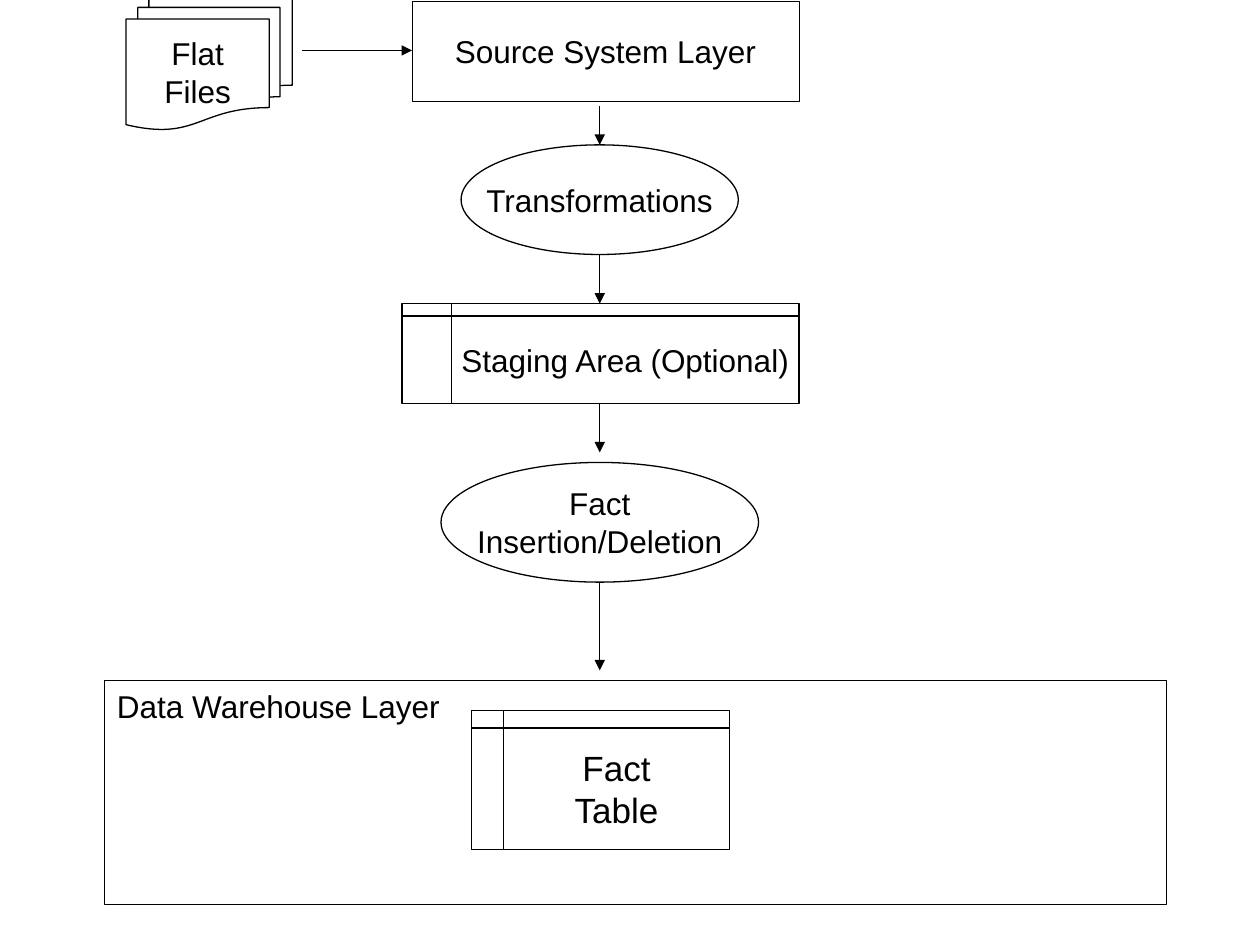
from lxml import etree
from pptx import Presentation
from pptx.dml.color import RGBColor
from pptx.enum.shapes import MSO_CONNECTOR, MSO_SHAPE
from pptx.enum.text import MSO_ANCHOR, PP_ALIGN
from pptx.oxml.ns import qn
from pptx.util import Inches, Pt

STRAIGHT = MSO_CONNECTOR.STRAIGHT
DOCUMENTS = MSO_SHAPE.FLOWCHART_MULTIDOCUMENT
STORAGE = MSO_SHAPE.FLOWCHART_INTERNAL_STORAGE
OVAL = MSO_SHAPE.OVAL
BOX = MSO_SHAPE.RECTANGLE
MIDDLE = MSO_ANCHOR.MIDDLE
CENTER, LEFT = PP_ALIGN.CENTER, PP_ALIGN.LEFT
COLORS = {"ink": "000000", "paper": "FFFFFF"}
INK = RGBColor.from_string(COLORS["ink"])
PAPER = RGBColor.from_string(COLORS["paper"])

presentation = Presentation()
presentation.slide_width = Inches(10)
presentation.slide_height = Inches(7.5)
slide = presentation.slides.add_slide(presentation.slide_layouts[6])


def write_lines(shape, lines, size, alignment, wrap=False):
    frame = shape.text_frame
    frame.word_wrap = wrap
    frame.text = "\n".join(lines)
    for paragraph in frame.paragraphs:
        paragraph.alignment = alignment
        paragraph.font.name = "Arial"
        paragraph.font.size = Pt(size)
        paragraph.font.color.rgb = INK


axis = 4.76
source_left, source_top, source_width, source_height = 3.27, 0.01, 3.07, 0.79
warehouse_left, warehouse_top = 0.83, 5.4

nodes = [
    (DOCUMENTS, 1, -0.03, 1.32, 1.06, 0.75, ["Flat", "Files"], 18),
    (OVAL, axis - 1.1, 1.15, 2.2, 0.87, 0.75, ["Transformations"], 18),
    (OVAL, axis - 1.26, 3.67, 2.52, 0.95, 0.75, ["Fact", "Insertion/Deletion"], 18),
    (STORAGE, 3.74, 5.64, 2.05, 1.1, 0.75, ["Fact", "Table"], 20),
    (BOX, source_left, source_top, source_width, source_height, 0.25, ["Source System Layer"], 18),
    (STORAGE, 3.19, 2.41, 3.15, 0.79, 0.75, ["Staging Area (Optional)"], 18),
    (BOX, warehouse_left, warehouse_top, 8.43, 1.78, 0.25, [], 18),
]
for kind, left, top, width, height, weight, lines, size in nodes:
    shape = slide.shapes.add_shape(kind, Inches(left), Inches(top), Inches(width), Inches(height))
    shape.shadow.inherit = False
    shape.line.color.rgb = INK
    shape.line.width = Pt(weight)
    if kind == STORAGE:
        shape.fill.solid()
        shape.fill.fore_color.rgb = PAPER
    else:
        shape.fill.background()
    if lines:
        shape.text_frame.vertical_anchor = MIDDLE
        write_lines(shape, lines, size, CENTER, wrap=kind == BOX)

warehouse_label = slide.shapes.add_textbox(
    Inches(warehouse_left), Inches(warehouse_top), Inches(2.79), Inches(0.4)
)
write_lines(warehouse_label, ["Data Warehouse Layer"], 18, LEFT)

flow_steps = [(0.84, 1.15), (2.02, 2.41), (3.2, 3.59), (4.62, 5.32)]
arrows = [(2.4, 0.4, source_left, 0.4)]
arrows += [(axis, start, axis, end) for start, end in flow_steps]
for points in arrows:
    arrow = slide.shapes.add_connector(STRAIGHT, *[Inches(value) for value in points])
    arrow.line.color.rgb = INK
    arrow.line.width = Pt(0.75)
    line = arrow.line._get_or_add_ln()
    etree.SubElement(line, qn("a:tailEnd"), type="triangle")
    etree.SubElement(arrow._element.spPr, qn("a:effectLst"))

presentation.save("out.pptx")
